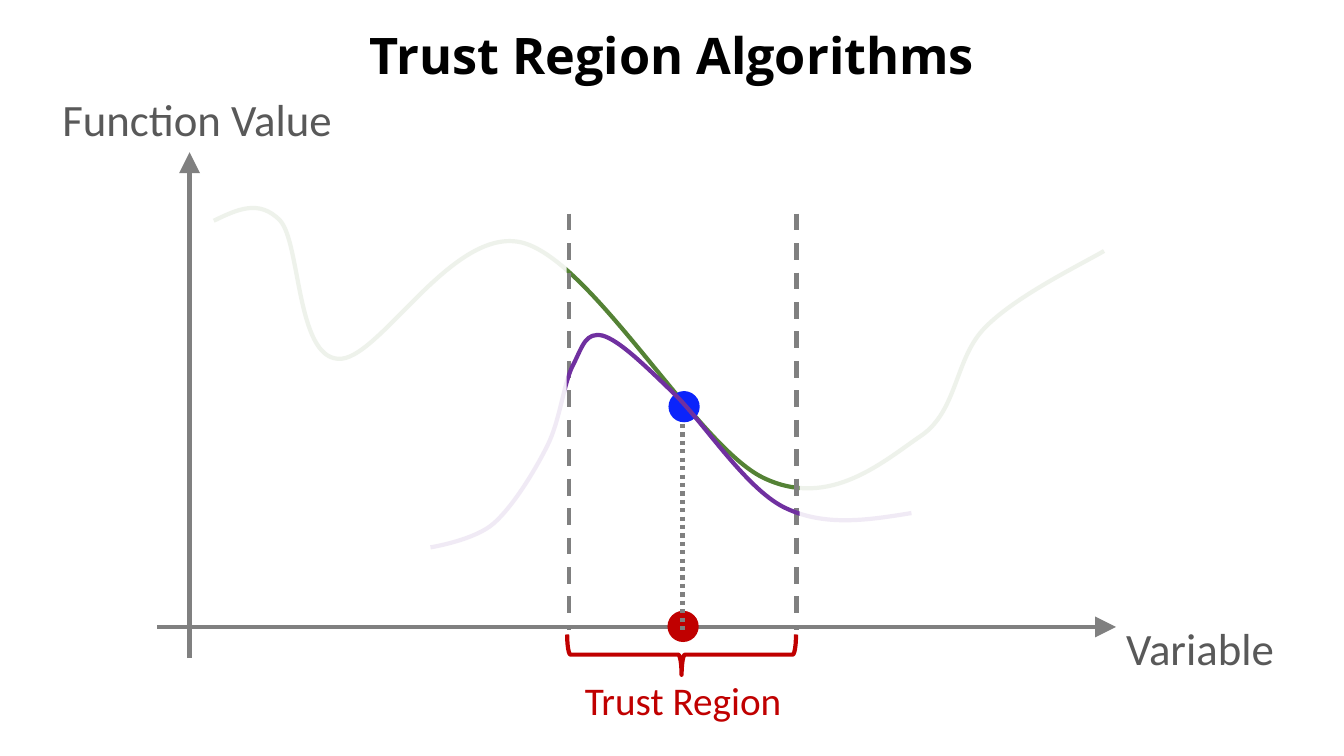
from pptx import Presentation
from pptx.util import Inches, Pt
from pptx.dml.color import RGBColor
from pptx.enum.dml import MSO_LINE
from pptx.enum.shapes import MSO_CONNECTOR, MSO_SHAPE
from pptx.enum.text import MSO_ANCHOR, MSO_AUTO_SIZE, PP_ALIGN
from pptx.oxml.ns import qn
from lxml.etree import SubElement

THEME = {
    "black": RGBColor.from_string("000000"),
    "white": RGBColor.from_string("FFFFFF"),
    "axis": RGBColor.from_string("808080"),
    "label": RGBColor.from_string("595959"),
    "region": RGBColor.from_string("C00000"),
    "point": RGBColor.from_string("0B24FB"),
    "function": RGBColor.from_string("548235"),
    "model": RGBColor.from_string("7030A0"),
    "title_font": "Open Sans",
    "body_font": "Calibri",
    "title_size": Pt(36),
    "label_size": Pt(32),
    "region_size": Pt(28),
    "stroke": Pt(3),
}

# Grid: one column and one row are one inch
COLUMNS, ROWS = 13.33, 7.5
AXIS_X, AXIS_Y = 1.88, 6.22
REGION_LEFT, REGION_RIGHT = 5.64, 7.9
CENTER = (REGION_LEFT + REGION_RIGHT) / 2
DOT = 0.31

deck = Presentation()
deck.slide_width, deck.slide_height = Inches(COLUMNS), Inches(ROWS)
page = deck.slides.add_slide(deck.slide_layouts[6])
shapes = page.shapes


def add_line(start, end, dash=None, arrow=False):
    line = shapes.add_connector(MSO_CONNECTOR.STRAIGHT, *map(Inches, start + end))
    line.line.color.rgb = THEME["axis"]
    line.line.width = THEME["stroke"]
    if dash:
        line.line.dash_style = dash
    if arrow:
        SubElement(line.line._get_or_add_ln(), qn("a:tailEnd"),
                   type="triangle", w="lg", len="lg")
    SubElement(line._element.spPr, qn("a:effectLst"))


def add_curve(frame, start, segments, color):
    """Draw cubic segments, each two controls and an end point, in a frame."""
    left, top, width, height = map(Inches, frame)
    builder = shapes.build_freeform(left, top)
    builder.add_line_segments([(left + width, top + height)], close=False)
    curve = builder.convert_to_shape()
    outline = next(curve._element.iter(qn("a:path")))
    for diagonal in list(outline):
        outline.remove(diagonal)
    for tag, numbers in [("a:moveTo", start)] + [("a:cubicBezTo", s) for s in segments]:
        stretch = SubElement(outline, qn(tag))
        for x, y in zip(numbers[::2], numbers[1::2]):
            SubElement(stretch, qn("a:pt"), x=str(Inches(x) - left), y=str(Inches(y) - top))
    curve.shadow.inherit = False
    curve.fill.background()
    curve.line.color.rgb = color
    curve.line.width = THEME["stroke"]


# Axes
add_line((1.56, AXIS_Y), (11.07, AXIS_Y), arrow=True)
add_line((AXIS_X, 6.53), (AXIS_X, 1.51), arrow=True)

# True function
add_curve((2.12, 2.06, 8.82, 2.78), (2.12, 2.19), [
    (2.35, 2.08, 2.57, 1.97, 2.78, 2.19),
    (2.98, 2.42, 2.94, 3.53, 3.35, 3.56),
    (3.75, 3.6, 4.49, 2.22, 5.19, 2.41),
    (5.89, 2.61, 6.91, 4.42, 7.57, 4.74),
    (8.23, 5.06, 8.77, 4.57, 9.14, 4.32),
    (9.5, 4.07, 9.47, 3.55, 9.77, 3.25),
    (10.07, 2.94, 10.71, 2.63, 10.95, 2.49),
], THEME["function"])

# Current point on the axis and on the function, with its drop line
for left, top, color in ((6.62, 6.06, THEME["region"]), (6.63, 3.88, THEME["point"])):
    dot = shapes.add_shape(MSO_SHAPE.OVAL, *map(Inches, (left, top, DOT, DOT)))
    dot.shadow.inherit = False
    dot.fill.solid()
    dot.fill.fore_color.rgb = color
    dot.line.fill.background()
    if color == THEME["region"]:
        add_line((CENTER, 4.04), (CENTER, 6.26), MSO_LINE.ROUND_DOT)

# Trust region limits
for limit in (REGION_LEFT, REGION_RIGHT):
    add_line((limit, 2.12), (limit, 6.25), MSO_LINE.DASH)

# Local model
add_curve((4.27, 3.32, 4.77, 2.11), (9.04, 5.09), [
    (8.61, 5.16, 8.17, 5.23, 7.77, 5.03),
    (7.38, 4.83, 6.96, 4.16, 6.66, 3.88),
    (6.36, 3.59, 6.14, 3.38, 5.98, 3.33),
    (5.81, 3.29, 5.78, 3.43, 5.69, 3.61),
    (5.59, 3.79, 5.56, 4.16, 5.43, 4.42),
    (5.3, 4.68, 5.09, 5.02, 4.9, 5.19),
    (4.71, 5.36, 4.27, 5.43, 4.27, 5.43),
], THEME["model"])

# Veils fade the curves outside the region
for frame in ((2.03, 1.9, 3.59, 3.98), (7.93, 2, 3.8, 3.98)):
    veil = shapes.add_shape(MSO_SHAPE.RECTANGLE, *map(Inches, frame))
    veil.shadow.inherit = False
    veil.fill.solid()
    veil.fill.fore_color.rgb = THEME["white"]
    tint = veil._element.spPr.find(qn("a:solidFill"))[0]
    SubElement(tint, qn("a:alpha"), val="90000")
    veil.line.fill.background()

# Brace under the region
brace = shapes.add_shape(MSO_SHAPE.RIGHT_BRACE, *map(Inches, (6.56, 5.36, 0.4, 2.27)))
brace.rotation = 90
brace.shadow.inherit = False
brace.fill.background()
brace.line.color.rgb = THEME["region"]
brace.line.width = THEME["stroke"]

# Title and labels: text, frame, style, color, alignment
for text, frame, style, color, align in (
    ("Trust Region Algorithms", (0, 0.01, COLUMNS, 1.13), "title", "black", PP_ALIGN.CENTER),
    ("Variable", (11.07, 6.11, 1.68, 0.64), "label", "label", PP_ALIGN.LEFT),
    ("Function Value", (0.52, 0.86, 2.91, 0.64), "label", "label", PP_ALIGN.LEFT),
    ("Trust Region", (5.69, 6.66, 2.17, 0.57), "region", "region", PP_ALIGN.CENTER),
):
    is_title = style == "title"
    box = shapes.add_textbox(*map(Inches, frame))
    box.text_frame.text = text
    box.text_frame.word_wrap = is_title
    if is_title:
        box.text_frame.vertical_anchor = MSO_ANCHOR.MIDDLE
    else:
        box.text_frame.auto_size = MSO_AUTO_SIZE.SHAPE_TO_FIT_TEXT
    para = box.text_frame.paragraphs[0]
    para.alignment = align
    if is_title:
        para.line_spacing = 0.9
    span = para.runs[0]
    span.font.name = THEME["title_font" if is_title else "body_font"]
    span.font.size = THEME[style + "_size"]
    span.font.bold = is_title
    span.font.color.rgb = THEME[color]

deck.save("out.pptx")
